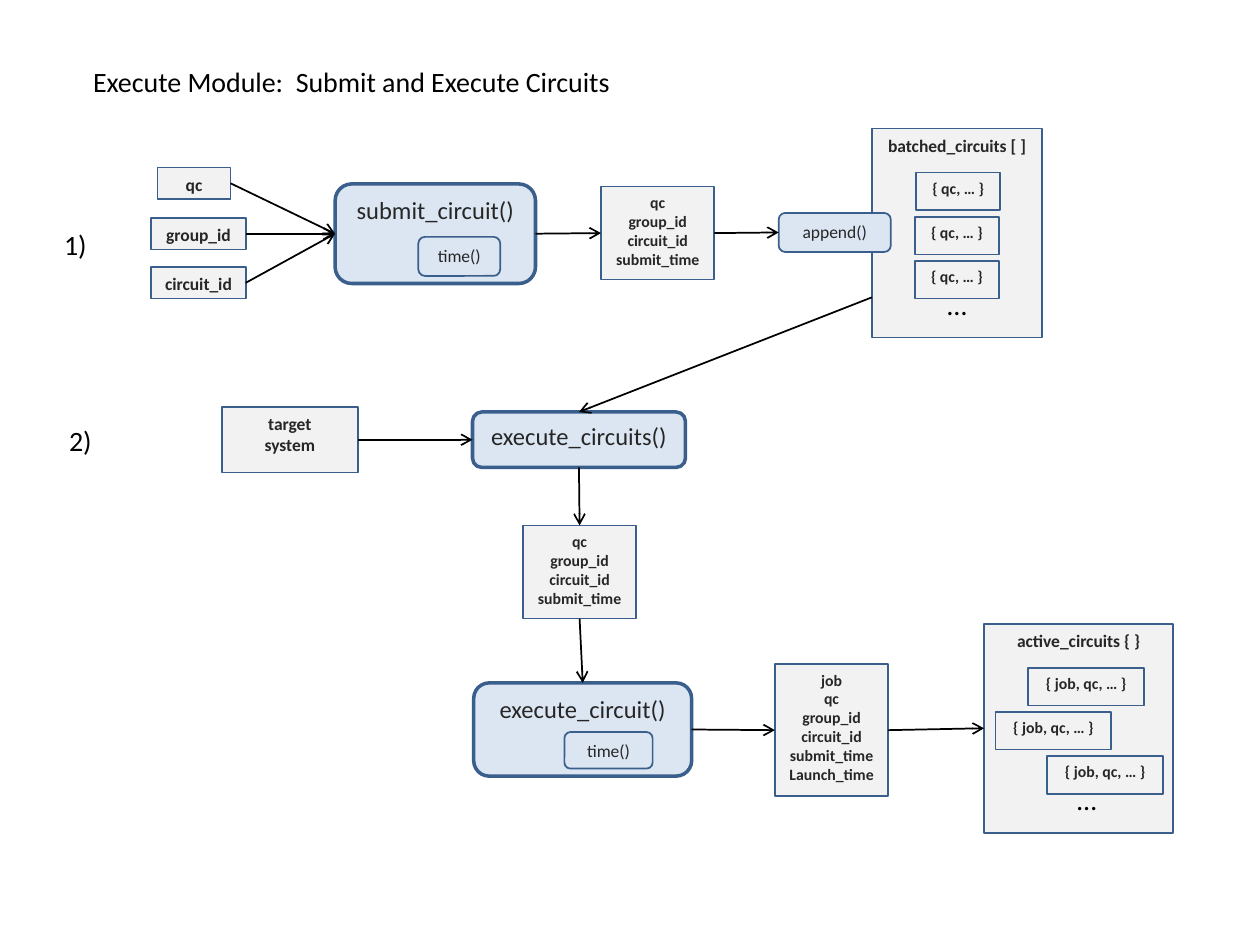
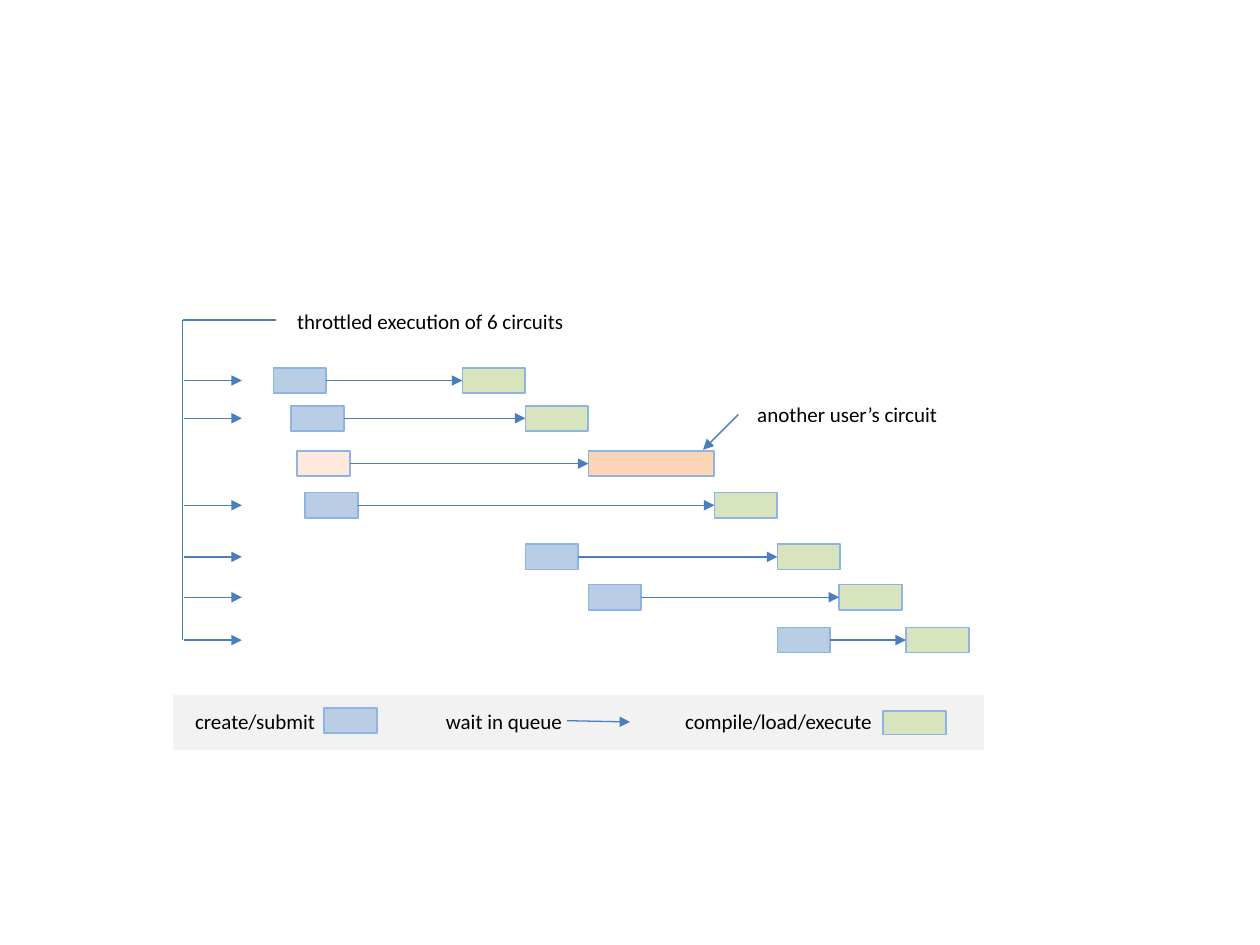
from dataclasses import dataclass

from lxml.etree import SubElement
from pptx import Presentation
from pptx.dml.color import RGBColor
from pptx.enum.shapes import MSO_CONNECTOR, MSO_SHAPE
from pptx.enum.text import MSO_ANCHOR, PP_ALIGN
from pptx.oxml.ns import qn
from pptx.util import Inches, Pt


@dataclass(frozen=True)
class Theme:
    font: str = "Calibri"
    black: str = "000000"
    ink: str = "262626"
    grey: str = "F2F2F2"
    function: str = "DCE6F2"
    outline: str = "3A5F8C"
    submit: str = "B9CDE5"
    execute: str = "D7E4BD"
    other_submit: str = "FDEADA"
    other_execute: str = "FCD5B5"
    bar_outline: str = "8EB4E3"
    queue: str = "4B7EBC"
    heading: int = 16
    function_size: int = 14
    caption: int = 12
    label: int = 10
    record: int = 9


@dataclass(frozen=True)
class Box:
    left: float
    top: float
    width: float
    height: float

    def inner(self, left, top, width, height):
        return Box(self.left + left, self.top + top, width, height)

    def point(self, left, top):
        return self.left + left, self.top + top

    def lengths(self):
        return [Inches(n) for n in (self.left, self.top, self.width, self.height)]


THEME = Theme()
TOP, LEFT, BOTTOM, RIGHT = range(4)
SUBMIT_FIELDS = ["qc", "group_id", "circuit_id", "submit_time"]


def apply(target, values):
    for name, value in values.items():
        setattr(target, name, value)


def write(shape, lines, size, color=THEME.ink, bold=False, align=PP_ALIGN.CENTER,
          anchor=MSO_ANCHOR.TOP, wrap=False):
    frame = shape.text_frame
    apply(frame, {"word_wrap": wrap, "vertical_anchor": anchor})
    for index, line in enumerate(lines):
        para = frame.add_paragraph() if index else frame.paragraphs[0]
        para.alignment = align
        span = para.add_run()
        span.text = line
        apply(span.font, {"name": THEME.font, "size": Pt(size), "bold": bold})
        span.font.color.rgb = RGBColor.from_string(color)


def add_text(page, box, text, size, **options):
    shape = page.shapes.add_textbox(*box.lengths())
    write(shape, [text], size, THEME.black, **options)


def add_caption(page, box, text):
    add_text(page, box, text, THEME.caption, anchor=MSO_ANCHOR.MIDDLE)


def add_block(page, box, fill, line=THEME.outline, weight=1, kind=MSO_SHAPE.RECTANGLE):
    shape = page.shapes.add_shape(kind, *box.lengths())
    shape.shadow.inherit = False
    shape.fill.solid()
    shape.fill.fore_color.rgb = RGBColor.from_string(fill)
    shape.line.color.rgb = RGBColor.from_string(line)
    shape.line.width = Pt(weight)
    return shape


def add_line(page, start, end, color, weight, head=None):
    line = page.shapes.add_connector(
        MSO_CONNECTOR.STRAIGHT, *[Inches(n) for n in (*start, *end)])
    line.line.color.rgb = RGBColor.from_string(color)
    line.line.width = Pt(weight)
    if head:
        SubElement(line.line._get_or_add_ln(), qn("a:tailEnd"), type=head)
    SubElement(line._element.spPr, qn("a:effectLst"))
    return line


def add_flow(page, start, end):
    return add_line(page, start, end, THEME.black, 1, "arrow")


def add_queue(page, start, end, head="triangle"):
    return add_line(page, start, end, THEME.queue, 0.75, head)


def link(page, source, exit_site, target, entry_site, draw=add_flow):
    line = draw(page, (0, 0), (0, 0))
    line.begin_connect(source, exit_site)
    line.end_connect(target, entry_site)


def add_data(page, box, lines, size=THEME.label):
    shape = add_block(page, box, THEME.grey)
    write(shape, lines, size, bold=True)
    return shape


def add_function(page, box, name, size=THEME.function_size, weight=2):
    shape = add_block(page, box, THEME.function, weight=weight,
                      kind=MSO_SHAPE.ROUNDED_RECTANGLE)
    write(shape, [name], size)
    return shape


def add_call(page, box, name):
    return add_function(page, box, name, THEME.label, 1)


def add_collection(page, box, title, entry, entry_lefts, entry_width, dots_left):
    panel = add_data(page, box, [title])
    for index, left in enumerate(entry_lefts):
        add_data(page, box.inner(left, 0.35 * (1 + index), entry_width, 0.3),
                 [entry], THEME.record)
    add_text(page, box.inner(dots_left, 1.21, 0.75, 0.37), "…", THEME.heading)
    return panel


def submit_region(page, box):
    submit = add_function(page, box.inner(1.46, 0.44, 1.59, 0.79), "submit_circuit()")
    add_call(page, box.inner(2.12, 0.86, 0.65, 0.31), "time()")
    for name, left, top, width in [("qc", 0.05, 0.31, 0.58),
                                   ("group_id", 0, 0.71, 0.75),
                                   ("circuit_id", 0, 1.1, 0.75)]:
        argument = add_data(page, box.inner(left, top, width, 0.25), [name])
        link(page, argument, RIGHT, submit, LEFT)
    record = add_data(page, box.inner(3.57, 0.46, 0.9, 0.74), SUBMIT_FIELDS, THEME.record)
    add_collection(page, box.inner(5.72, 0, 1.35, 1.66), "batched_circuits [ ]",
                   "{ qc, … }", [0.35, 0.34, 0.34], 0.67, 0.3)
    append = add_call(page, box.inner(4.98, 0.67, 0.89, 0.31), "append()")
    link(page, submit, RIGHT, record, LEFT)
    link(page, record, RIGHT, append, LEFT)
    return box.point(5.72, 1.34)


def execute_region(page, box, batch_exit):
    target = add_data(page, box.inner(0, 0, 1.08, 0.52), ["target", "system"])
    batch = add_function(page, box.inner(1.99, 0.04, 1.69, 0.44), "execute_circuits()")
    record = add_data(page, box.inner(2.39, 0.94, 0.9, 0.74), SUBMIT_FIELDS, THEME.record)
    execute = add_function(page, box.inner(2, 2.19, 1.73, 0.74), "execute_circuit()")
    add_call(page, box.inner(2.72, 2.58, 0.7, 0.29), "time()")
    launched = add_data(page, box.inner(4.39, 2.04, 0.9, 1.05),
                        ["job", *SUBMIT_FIELDS, "Launch_time"], THEME.record)
    active = add_collection(page, box.inner(6.05, 1.72, 1.5, 1.66), "active_circuits { }",
                            "{ job, qc, … }", [0.35, 0.09, 0.5], 0.92, 0.44)
    add_flow(page, batch_exit, batch_exit).end_connect(batch, TOP)
    link(page, target, RIGHT, batch, LEFT)
    link(page, batch, BOTTOM, record, TOP)
    link(page, record, BOTTOM, execute, TOP)
    link(page, execute, RIGHT, launched, LEFT)
    link(page, launched, RIGHT, active, LEFT)


def module_page(page):
    options = {"align": PP_ALIGN.LEFT, "wrap": True}
    for box, text in [
        (Box(0.64, 0.46, 5.17, 0.37), "Execute Module:  Submit and Execute Circuits"),
        (Box(0.41, 1.76, 0.75, 0.37), "1)"),
        (Box(0.45, 3.31, 0.75, 0.37), "2)"),
    ]:
        add_text(page, box, text, THEME.heading, **options)
    batch_exit = submit_region(page, Box(1.2, 1.02, 7.07, 1.66))
    execute_region(page, Box(1.76, 3.23, 7.55, 3.38), batch_exit)


def add_bar(page, box, fill):
    return add_block(page, box, fill, THEME.bar_outline)


def add_job(page, box, submit_left, execute_left, width=0.5,
            fills=(THEME.submit, THEME.execute)):
    submit = add_bar(page, box.inner(submit_left, 0, 0.42, 0.2), fills[0])
    execute = add_bar(page, box.inner(execute_left, 0, width, 0.2), fills[1])
    link(page, submit, RIGHT, execute, LEFT, add_queue)


def timeline_region(page, box):
    add_caption(page, box.inner(0.74, -0.12, 2.45, 0.26), "throttled execution of 6 circuits")
    add_queue(page, box.point(0.74, 0), box.point(0, 0), None)
    add_queue(page, box.point(0, 0), box.point(0, box.height), None)
    for top, submit_left, execute_left in [
        (0.38, 0.72, 2.22), (0.68, 0.86, 2.72), (1.37, 0.97, 4.22),
        (1.78, 2.72, 4.72), (2.1, 3.22, 5.21), (2.44, 4.72, 5.74),
    ]:
        add_job(page, box.inner(0, top, box.width, 0.2), submit_left, execute_left)
        add_queue(page, box.point(0.01, top + 0.1), box.point(0.47, top + 0.1))
    add_job(page, box.inner(0, 1.04, box.width, 0.2), 0.91, 3.22, 1,
            (THEME.other_submit, THEME.other_execute))
    add_caption(page, box.inner(4.41, 0.65, 1.73, 0.19), "another user’s circuit")
    add_queue(page, box.point(4.41, 0.75), box.point(4.13, 1.03))


def legend_region(page, box):
    add_block(page, box, THEME.grey, THEME.grey)
    for text, left, width in [("create/submit", 0.04, 1.21),
                              ("wait in queue", 2.04, 1.16),
                              ("compile/load/execute", 3.95, 1.7)]:
        add_caption(page, box.inner(left, 0.1, width, 0.2), text)
    add_bar(page, box.inner(1.19, 0.1, 0.42, 0.2), THEME.submit)
    add_queue(page, box.point(3.12, 0.2), box.point(3.62, 0.21))
    add_bar(page, box.inner(5.63, 0.12, 0.5, 0.19), THEME.execute)


def timeline_page(page):
    legend_region(page, Box(1.38, 5.52, 6.42, 0.43))
    timeline_region(page, Box(1.45, 2.54, 6.24, 2.54))


def main():
    deck = Presentation()
    apply(deck, {"slide_width": Inches(10), "slide_height": Inches(7.5)})
    for build in (module_page, timeline_page):
        build(deck.slides.add_slide(deck.slide_layouts[6]))
    deck.save("out.pptx")


if __name__ == "__main__":
    main()
